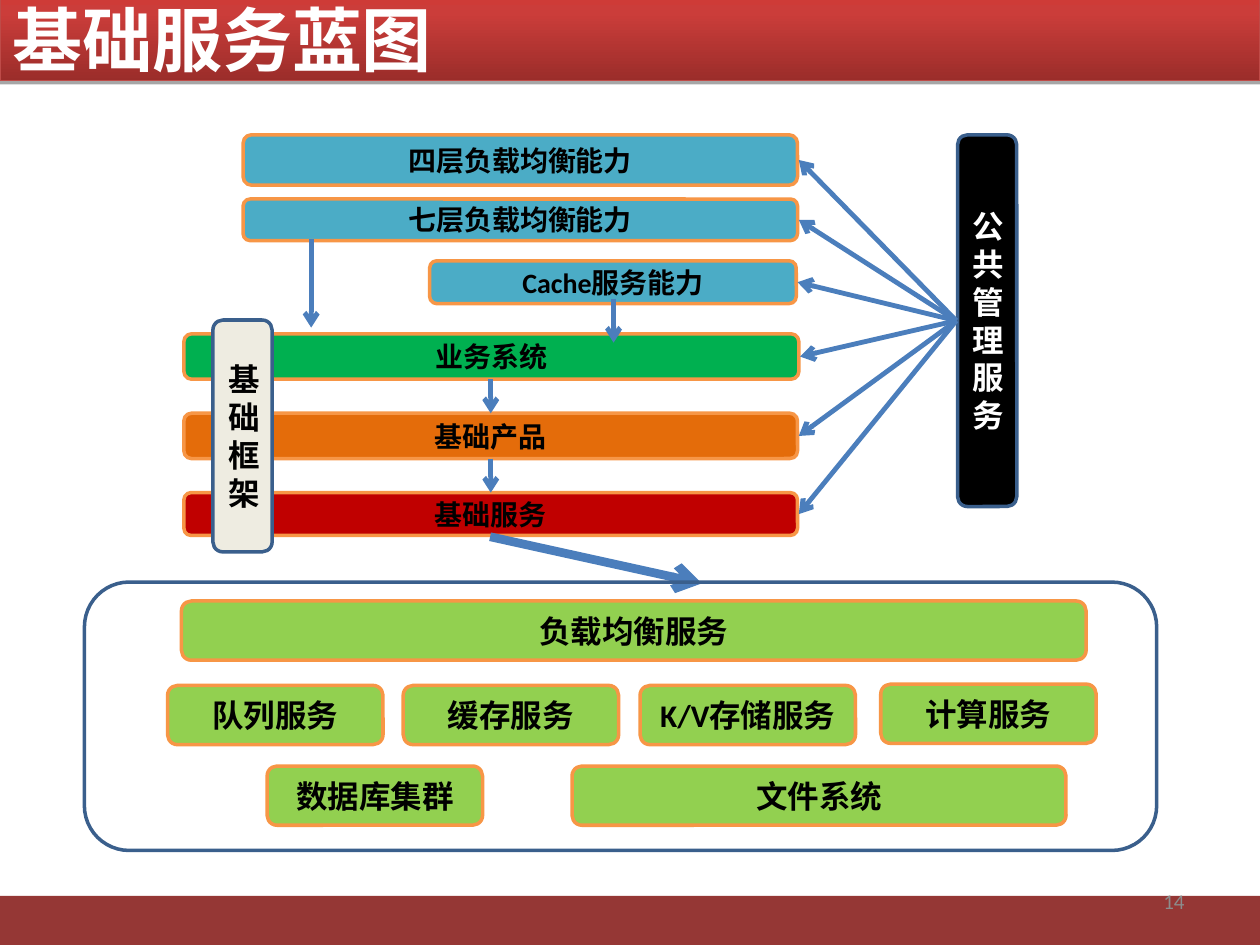
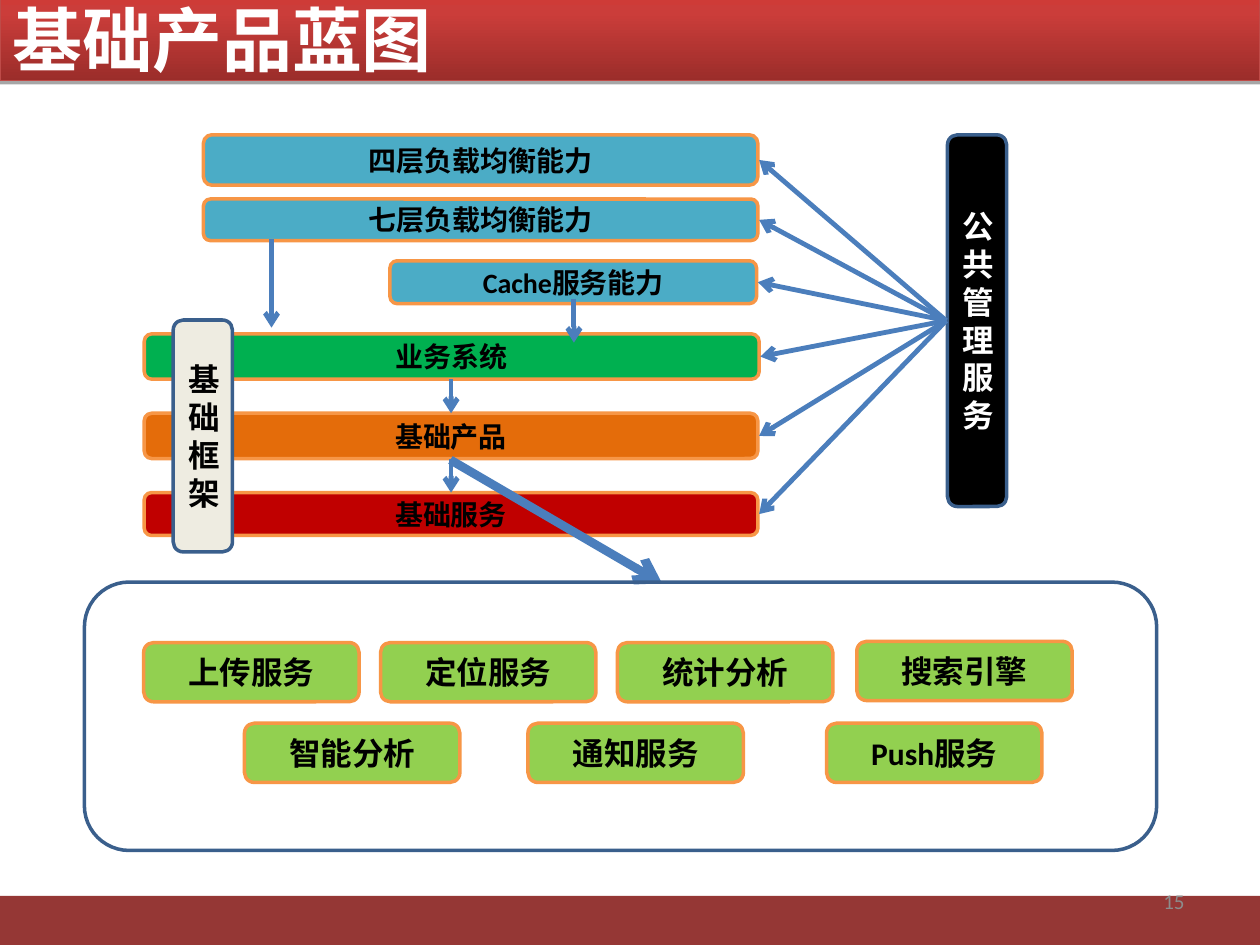
"""Build two architecture blueprint slides on a grid of 100 columns by 75 rows."""
from copy import deepcopy
from dataclasses import dataclass

from lxml import etree
from pptx import Presentation
from pptx import util as u
from pptx.dml import color
from pptx.enum import shapes, text
from pptx.oxml import ns


@dataclass(frozen=True)
class Theme:
    latin: str = "Calibri"
    asian: str = "Noto Sans CJK SC"
    white: str = "FFFFFF"
    black: str = "000000"
    number: str = "8C8C8C"
    footer: str = "953735"
    title_line: str = "BE4B48"
    title_stops: tuple = ((0, "9B2D2A"), (0.8, "CB3D3A"), (1, "CE3B37"))
    access: str = "4BACC6"
    business: str = "00B050"
    product: str = "E46C0A"
    base: str = "C00000"
    service: str = "92D050"
    framework: str = "EEECE1"
    box_line: str = "F79646"
    frame_line: str = "3A5F8C"
    arrow: str = "4B7EBC"
    title_size: int = 40
    large_size: int = 18
    bar_size: int = 16
    number_size: int = 12
    outline: float = 2
    thin_outline: float = 0.75
    arrow_width: float = 2.75
    heavy_arrow_width: float = 5


THEME = Theme()
ROUNDED = shapes.MSO_SHAPE.ROUNDED_RECTANGLE
RECTANGLE = shapes.MSO_SHAPE.RECTANGLE
CENTER = text.PP_ALIGN.CENTER

presentation = Presentation()
presentation.slide_width = u.Inches(10)
presentation.slide_height = u.Inches(7.5)
COLUMN = presentation.slide_width / 100
ROW = presentation.slide_height / 75


def add_box(slide, grid, words="", kind=ROUNDED, fill=None, line=None, width=THEME.outline,
            size=THEME.large_size, ink=THEME.black, bold=True, align=CENTER, latin=THEME.latin):
    left, top, columns, rows = grid
    place = [round(v) for v in (left * COLUMN, top * ROW, columns * COLUMN, rows * ROW)]
    if kind is None:
        shape = slide.shapes.add_textbox(*place)
    else:
        shape = slide.shapes.add_shape(kind, *place)
        shape.shadow.inherit = False
    if fill:
        shape.fill.solid()
        shape.fill.fore_color.rgb = color.RGBColor.from_string(fill)
    else:
        shape.fill.background()
    if line:
        shape.line.color.rgb = color.RGBColor.from_string(line)
        shape.line.width = u.Pt(width)
    else:
        shape.line.fill.background()
    if words:
        frame = shape.text_frame
        frame.word_wrap = True
        frame.vertical_anchor = text.MSO_ANCHOR.MIDDLE
        paragraph = frame.paragraphs[0]
        paragraph.alignment = align
        run = paragraph.add_run()
        run.text = words
        run.font.size = u.Pt(size)
        run.font.bold = bold
        run.font.color.rgb = color.RGBColor.from_string(ink)
        run.font.name = latin
        etree.SubElement(run.font._element, ns.qn("a:ea"), typeface=THEME.asian)
    return shape


def add_arrow(slide, start, end, width=THEME.arrow_width):
    ends = [round(v) for x, y in (start, end) for v in (x * COLUMN, y * ROW)]
    arrow = slide.shapes.add_connector(shapes.MSO_CONNECTOR.STRAIGHT, *ends)
    arrow.line.color.rgb = color.RGBColor.from_string(THEME.arrow)
    arrow.line.width = u.Pt(width)
    etree.SubElement(arrow.line._get_or_add_ln(), ns.qn("a:tailEnd"), type="arrow")
    etree.SubElement(arrow._element.spPr, ns.qn("a:effectLst"))


BARS = [
    ("四层负载均衡能力", 19.3, 10.7, 44, 4, THEME.access),
    ("七层负载均衡能力", 19.3, 15.8, 44, 3.3, THEME.access),
    ("Cache服务能力", 34.1, 20.7, 29.1, 3.4, THEME.access),
    ("业务系统", 14.6, 26.5, 48.8, 3.6, THEME.business),
    ("基础产品", 14.6, 32.8, 48.7, 3.6, THEME.product),
    ("基础服务", 14.6, 39.1, 48.7, 3.4, THEME.base),
]
FLOWS = [(48.7, 23.7, 27.2), (24.7, 19, 26), (38.95, 30.1, 32.8), (38.95, 36.4, 39.1)]
UNIT = 17.1
BLUEPRINTS = [
    dict(title="基础服务蓝图", number="14", shift=0, manager=76, detail_from=42.6, services=[
        ("负载均衡服务", 14.4, 47.7, 71.8),
        ("队列服务", 13.3, 54.4, UNIT),
        ("缓存服务", 32, 54.4, UNIT),
        ("K/V存储服务", 50.8, 54.4, UNIT),
        ("计算服务", 69.9, 54.3, UNIT),
        ("数据库集群", 21.2, 60.8, UNIT),
        ("文件系统", 45.4, 60.8, 39.2),
    ]),
    dict(title="基础产品蓝图", number="15", shift=-3.15, manager=75.2, detail_from=36.5, services=[
        ("上传服务", 11.4, 51, UNIT),
        ("定位服务", 30.2, 51, UNIT),
        ("统计分析", 49, 51, UNIT),
        ("搜索引擎", 68, 50.9, UNIT),
        ("智能分析", 19.4, 57.4, UNIT),
        ("通知服务", 41.9, 57.4, UNIT),
        ("Push服务", 65.6, 57.4, UNIT),
    ]),
]

for blueprint in BLUEPRINTS:
    slide = presentation.slides.add_slide(presentation.slide_layouts[6])
    shift = blueprint["shift"]
    manager = blueprint["manager"]

    add_box(slide, (0, 71.1, 100, 3.9), kind=RECTANGLE, fill=THEME.footer)
    add_box(slide, (71.7, 69.5, 23.3, 4), blueprint["number"], kind=None, size=THEME.number_size,
            ink=THEME.number, bold=False, align=text.PP_ALIGN.RIGHT)

    for words, left, top, columns, rows, fill in BARS:
        add_box(slide, (left + shift, top, columns, rows), words, fill=fill,
                line=THEME.box_line, size=THEME.bar_size)
    add_box(slide, (manager, 10.7, 4.7, 29.5), "公共管理服务", fill=THEME.black,
            line=THEME.frame_line, ink=THEME.white)

    for x, top, bottom in FLOWS:
        add_arrow(slide, (x + shift, top), (x + shift, bottom))
    for words, left, top, columns, rows, fill in BARS:
        add_arrow(slide, (manager - 0.1, 25.45), (left + columns + shift + 0.1, top + rows / 2))

    add_box(slide, (16.9 + shift, 25.4, 4.7, 18.4), "基础框架", fill=THEME.framework,
            line=THEME.frame_line)
    add_arrow(slide, (38.9 + shift, blueprint["detail_from"]), (55.7 + shift, 46.3),
              THEME.heavy_arrow_width)
    add_box(slide, (6.7, 46.2, 85.1, 21.3), line=THEME.frame_line)
    for words, left, top, columns in blueprint["services"]:
        add_box(slide, (left, top, columns, 4.7), words, fill=THEME.service, line=THEME.box_line)

    title = add_box(slide, (0, -0.3, 100, 6.7), blueprint["title"], kind=RECTANGLE,
                    line=THEME.title_line, width=THEME.thin_outline, size=THEME.title_size,
                    ink=THEME.white, align=text.PP_ALIGN.LEFT, latin=THEME.asian)
    title.fill.gradient()
    title.fill.gradient_angle = 90
    stop_list = title._element.spPr.find(ns.qn("a:gradFill")).find(ns.qn("a:gsLst"))
    stop_list.insert(1, deepcopy(stop_list[0]))
    for stop, (position, shade) in zip(title.fill.gradient_stops, THEME.title_stops):
        stop.position = position
        stop.color.rgb = color.RGBColor.from_string(shade)
    effects = title._element.spPr.find(ns.qn("a:effectLst"))
    shadow = etree.SubElement(effects, ns.qn("a:outerShdw"), blurRad="0",
                              dist=str(u.Pt(1.8)), dir="5400000", rotWithShape="0")
    shadow_color = etree.SubElement(shadow, ns.qn("a:srgbClr"), val=THEME.black)
    etree.SubElement(shadow_color, ns.qn("a:alpha"), val="35000")

presentation.save("out.pptx")
